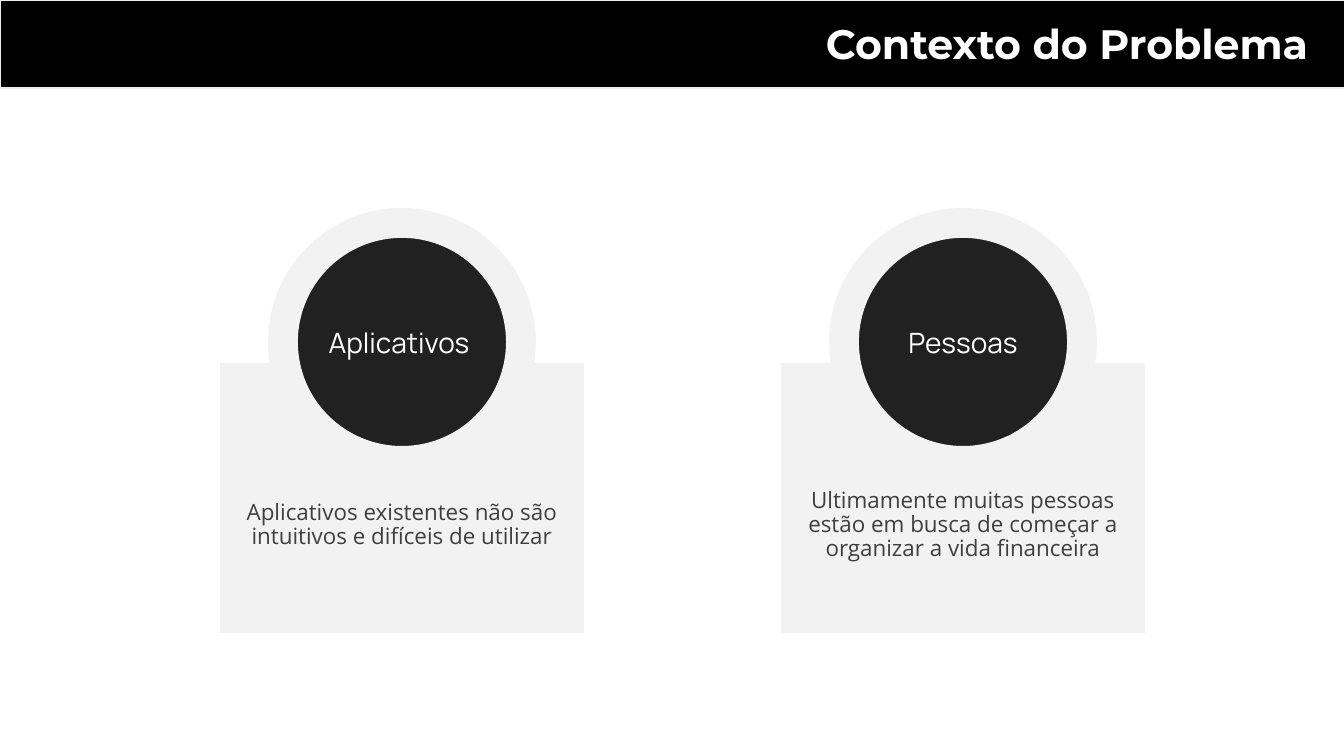
from pptx import Presentation
from pptx import util as u
from pptx.dml.color import RGBColor
from pptx.enum import shapes, text

PX = u.Inches(10) / 1344
BLACK = RGBColor(0x00, 0x00, 0x00)
WHITE = RGBColor(0xFF, 0xFF, 0xFF)
EDGE = RGBColor(0xEE, 0xEE, 0xEE)
PALE = RGBColor(0xF2, 0xF2, 0xF2)
DARK = RGBColor(0x21, 0x21, 0x21)
GRAY = RGBColor(0x3F, 0x3F, 0x3F)

CARD_W, CARD_H, CARD_Y = 364, 270, 363
DISC, DISC_Y = 238, 223
LABEL_W, LABEL_H = 211, 78
CARDS = [
    (402, "Aplicativos ",
     "Aplicativos existentes não são intuitivos e difíceis de utilizar"),
    (963, "Pessoas",
     "Ultimamente muitas pessoas estão em busca de começar a organizar a vida financeira"),
]


def px(n):
    return u.Emu(round(n * PX))


def write(sp, content, *, font, size, color, bold=False,
          align=text.PP_ALIGN.CENTER, anchor=text.MSO_ANCHOR.MIDDLE,
          insets=(9, 5, 9, 5), spacing=None):
    tf = sp.text_frame
    tf.word_wrap = True
    tf.vertical_anchor = anchor
    tf.margin_left, tf.margin_top, tf.margin_right, tf.margin_bottom = map(px, insets)
    p = tf.paragraphs[0]
    p.alignment = align
    if spacing:
        p.line_spacing = spacing
    r = p.add_run()
    r.text = content
    r.font.name = font
    r.font.size = u.Pt(size)
    r.font.bold = bold
    r.font.color.rgb = color


def add_box(s, x, y, w, h):
    return s.shapes.add_textbox(px(x), px(y), px(w), px(h))


def add_shape(s, kind, x, y, w, h, fill, line=None, width=0):
    sp = s.shapes.add_shape(kind, px(x), px(y), px(w), px(h))
    sp.shadow.inherit = False
    sp.fill.solid()
    sp.fill.fore_color.rgb = fill
    if line is None:
        sp.line.fill.background()
    else:
        sp.line.color.rgb = line
        sp.line.width = u.Pt(width)
    return sp


def add_header(s, title):
    add_shape(s, shapes.MSO_SHAPE.RECTANGLE, 0, 0, 1345, 88, BLACK, EDGE, 0.75)
    write(add_box(s, 7, 5, 1314, 77), title, font="Montserrat", size=22,
          color=WHITE, bold=True, align=text.PP_ALIGN.RIGHT,
          anchor=text.MSO_ANCHOR.TOP, insets=(13, 13, 13, 13))


def add_card(s, center, label, body):
    card = add_shape(s, shapes.MSO_SHAPE.RECTANGLE, center - CARD_W / 2, CARD_Y,
                     CARD_W, CARD_H, PALE)
    write(card, body, font="Open Sans", size=12, color=GRAY,
          insets=(9, 59, 9, 5), spacing=0.9)
    add_shape(s, shapes.MSO_SHAPE.OVAL, center - DISC / 2, DISC_Y,
              DISC, DISC, DARK, PALE, 16)
    label_y = DISC_Y + (DISC - LABEL_H) / 2
    write(add_box(s, center - LABEL_W / 2, label_y, LABEL_W, LABEL_H), label,
          font="Manrope", size=15, color=WHITE)


def main():
    prs = Presentation()
    prs.slide_width, prs.slide_height = px(1344), px(756)
    s = prs.slides.add_slide(prs.slide_layouts[6])
    add_header(s, "Contexto do Problema")
    for center, label, body in CARDS:
        add_card(s, center, label, body)
    prs.save("out.pptx")


if __name__ == "__main__":
    main()
